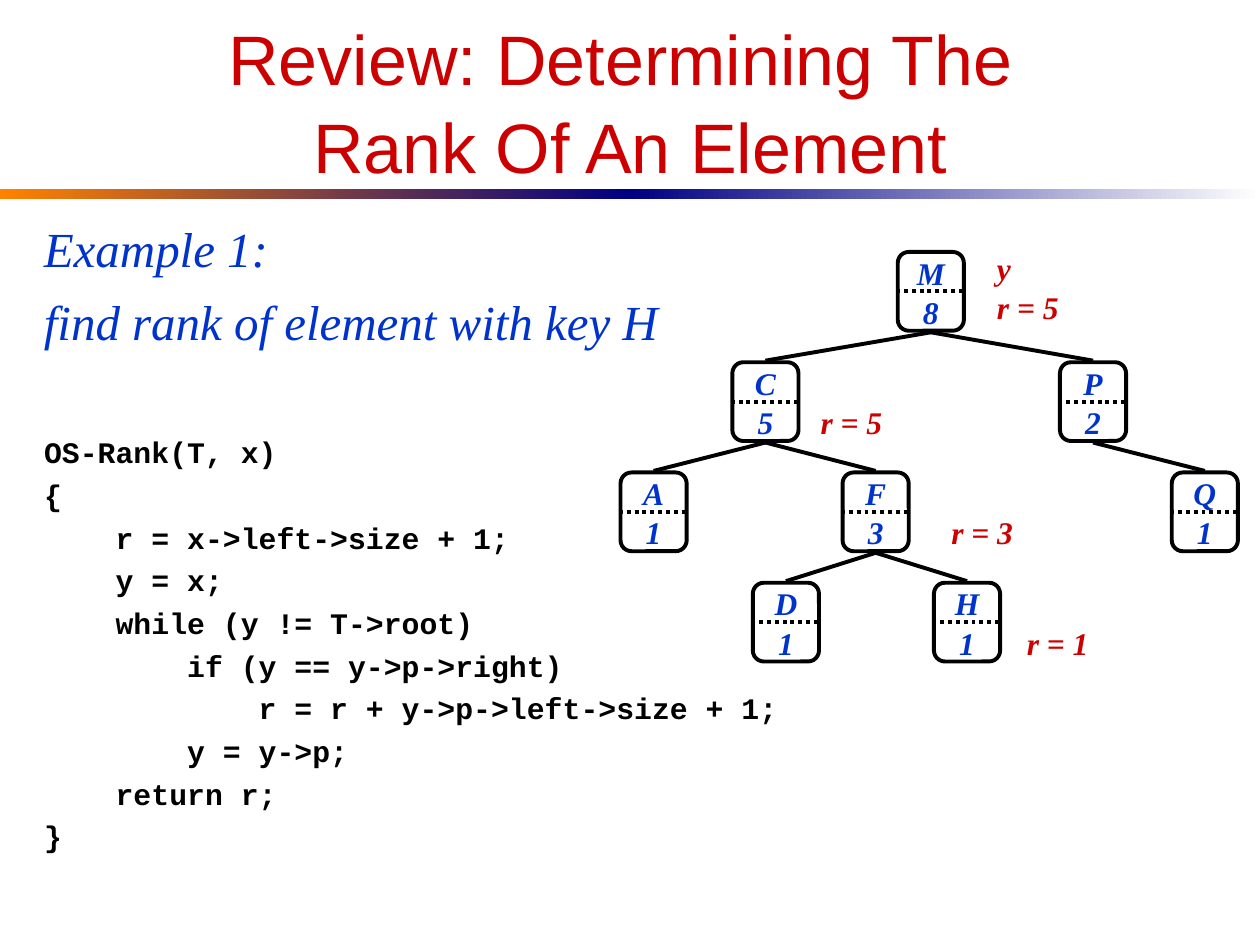
from collections import namedtuple
from dataclasses import dataclass

from pptx import Presentation
from pptx.dml.color import RGBColor
from pptx.enum.dml import MSO_LINE
from pptx.enum.shapes import MSO_CONNECTOR, MSO_SHAPE
from pptx.enum.text import MSO_ANCHOR, MSO_AUTO_SIZE, PP_ALIGN
from pptx.oxml.ns import qn
from pptx.util import Inches, Pt

ROUNDED = MSO_SHAPE.ROUNDED_RECTANGLE
RECTANGLE = MSO_SHAPE.RECTANGLE
STRAIGHT = MSO_CONNECTOR.STRAIGHT
DOTTED = MSO_LINE.ROUND_DOT
LEFT, CENTER = PP_ALIGN.LEFT, PP_ALIGN.CENTER
TOP, MIDDLE, BOTTOM = MSO_ANCHOR.TOP, MSO_ANCHOR.MIDDLE, MSO_ANCHOR.BOTTOM

COLUMNS, ROWS = 80, 60
NODE_WIDTH, NODE_HEIGHT, LEVEL_HEIGHT = 4.2, 5, 7

Box = namedtuple("Box", "left top width height")
Style = namedtuple("Style", "font size color bold italic")


@dataclass(frozen=True)
class Theme:
    """Colours, line width, spacing and type styles of the slide."""
    black: str = "000000"
    white: str = "FFFFFF"
    navy: str = "000082"
    orange: str = "FF8200"
    stroke: float = 2.25
    leading: float = 1.04
    code_leading: float = 0.95
    title: Style = Style("Arial", 40, "CC0000", False, False)
    example: Style = Style("Times New Roman", 28, "0033CC", False, True)
    code: Style = Style("Courier New", 17, "000000", True, False)
    node: Style = Style("Times New Roman", 18, "0033CC", True, True)
    rank: Style = Style("Times New Roman", 18, "CC0000", True, True)


THEME = Theme()

NODES = {
    "M": (8, 59.1, 0), "C": (5, 48.6, 1), "P": (2, 69.4, 1),
    "Q": (1, 76.5, 2), "A": (1, 41.5, 2), "F": (3, 55.6, 2),
    "D": (1, 49.9, 3), "H": (1, 61.4, 3),
}
EDGES = ["MC", "MP", "CA", "CF", "FD", "FH", "PQ"]
RANKS = [("r = 1", 65.2, 3, 0), ("r = 3", 60.4, 2, 0),
         ("r = 5", 52.1, 1, 0), ("y\nr = 5", 63.3, 0, -0.3)]
CODE = """OS-Rank(T, x)
{
    r = x->left->size + 1;
    y = x;
    while (y != T->root)
        if (y == y->p->right)
            r = r + y->p->left->size + 1;
        y = y->p;
    return r;
}"""


def grid(*cells):
    """Turn grid cells into slide lengths."""
    return [Inches(cell / 8) for cell in cells]


def write_para(para, text, style, align=LEFT, leading=THEME.leading):
    """Write text in one style, with a line break at each newline."""
    para.alignment, para.line_spacing = align, leading
    for index, line in enumerate(text.split("\n")):
        if index:
            para.add_line_break()
        span = para.add_run()
        span.text = line
        font = span.font
        font.name, font.size = style.font, Pt(style.size)
        font.bold, font.italic = style.bold, style.italic
        font.color.rgb = RGBColor.from_string(style.color)


def write_lines(frame, lines, style, gap, leading=THEME.leading):
    """Write one paragraph for each line, with a gap between them."""
    for index, line in enumerate(lines):
        para = frame.add_paragraph() if index else frame.paragraphs[0]
        para.space_before = Pt(gap if index else 0)
        write_para(para, line, style, leading=leading)


def set_frame(frame, anchor, wrap=True):
    """Fix the anchor and wrapping of a text frame."""
    frame.auto_size = MSO_AUTO_SIZE.NONE
    frame.word_wrap, frame.vertical_anchor = wrap, anchor


def place(shape, box):
    """Move a placeholder to a grid box."""
    shape.left, shape.top, shape.width, shape.height = grid(*box)


def add_line(page, start, end, dash=None):
    """Draw a straight black line between two grid points."""
    line = page.shapes.add_connector(STRAIGHT, *grid(*start, *end))
    line.line.color.rgb = RGBColor.from_string(THEME.black)
    line.line.width = Pt(THEME.stroke)
    if dash:
        line.line.dash_style = dash
    properties = line._element.spPr
    properties.append(properties.makeelement(qn("a:effectLst"), {}))


def add_rule(page, box):
    """Draw the two-part gradient rule across a box."""
    half = box.width / 2
    fades = [(THEME.orange, THEME.navy), (THEME.navy, THEME.white)]
    for index, colors in enumerate(fades):
        bar = page.shapes.add_shape(
            RECTANGLE, *grid(box.left + index * half, box.top, half, box.height))
        bar.shadow.inherit = False
        bar.line.fill.background()
        bar.fill.gradient()
        bar.fill.gradient_angle = 0
        for stop, color in zip(bar.fill.gradient_stops, colors):
            stop.color.rgb = RGBColor.from_string(color)


def add_title(page, box):
    """Fill the title placeholder."""
    title = page.shapes.title
    place(title, box)
    set_frame(title.text_frame, MIDDLE)
    write_para(title.text_frame.paragraphs[0],
               "Review: Determining The \nRank Of An Element", THEME.title, CENTER)


def add_example(page, box):
    """Write the statement of the example."""
    frame = page.shapes.add_textbox(*grid(*box)).text_frame
    set_frame(frame, TOP)
    write_lines(frame, ["Example 1:", "find rank of element with key H"],
                THEME.example, 7)


def add_code(page, box):
    """Fill the body placeholder with the listing, without bullets."""
    body = page.placeholders[1]
    place(body, box)
    set_frame(body.text_frame, TOP)
    write_lines(body.text_frame, CODE.split("\n"), THEME.code, 5, THEME.code_leading)
    for para in body.text_frame.paragraphs:
        properties = para._p.get_or_add_pPr()
        properties.set("marL", "0")
        properties.set("indent", "0")
        properties.append(properties.makeelement(qn("a:buNone"), {}))


def add_node(page, key, size, box):
    """Draw a tree node with its key above its subtree size."""
    node = page.shapes.add_shape(ROUNDED, *grid(*box))
    node.shadow.inherit = False
    node.fill.background()
    node.line.color.rgb = RGBColor.from_string(THEME.black)
    node.line.width = Pt(THEME.stroke)
    set_frame(node.text_frame, MIDDLE, False)
    write_para(node.text_frame.paragraphs[0], f"{key}\n{size}", THEME.node, CENTER)
    middle = box.top + box.height / 2
    add_line(page, (box.left - 0.1, middle), (box.left + box.width + 0.1, middle), DOTTED)


def add_rank(page, text, box):
    """Write the running rank beside a node."""
    frame = page.shapes.add_textbox(*grid(*box)).text_frame
    set_frame(frame, BOTTOM)
    frame.margin_left = frame.margin_right = frame.margin_top = frame.margin_bottom = 0
    write_para(frame.paragraphs[0], text, THEME.rank)


def add_tree(page, top):
    """Draw the nodes, edges and ranks of the tree below a grid row."""
    for key, (size, column, level) in NODES.items():
        add_node(page, key, size, Box(column - NODE_WIDTH / 2, top + level * LEVEL_HEIGHT,
                                      NODE_WIDTH, NODE_HEIGHT))
    for parent, child in EDGES:
        _, start, level = NODES[parent]
        _, end, below = NODES[child]
        add_line(page, (start, top + level * LEVEL_HEIGHT + NODE_HEIGHT + 0.1),
                 (end, top + below * LEVEL_HEIGHT - 0.1))
    for text, column, level, shift in RANKS:
        add_rank(page, text, Box(column, top + level * LEVEL_HEIGHT + shift,
                                 NODE_WIDTH + 0.8, NODE_HEIGHT))


def main():
    """Build and save the slide."""
    deck = Presentation()
    deck.slide_width, deck.slide_height = grid(COLUMNS, ROWS)
    page = deck.slides.add_slide(deck.slide_layouts[1])
    add_rule(page, Box(0, 12, COLUMNS, 0.64))
    add_title(page, Box(4, 2, 72, 8.67))
    add_tree(page, 16)
    add_code(page, Box(2, 27.33, 58.67, 30))
    add_example(page, Box(2, 13.33, 42, 12))
    deck.save("out.pptx")


if __name__ == "__main__":
    main()
